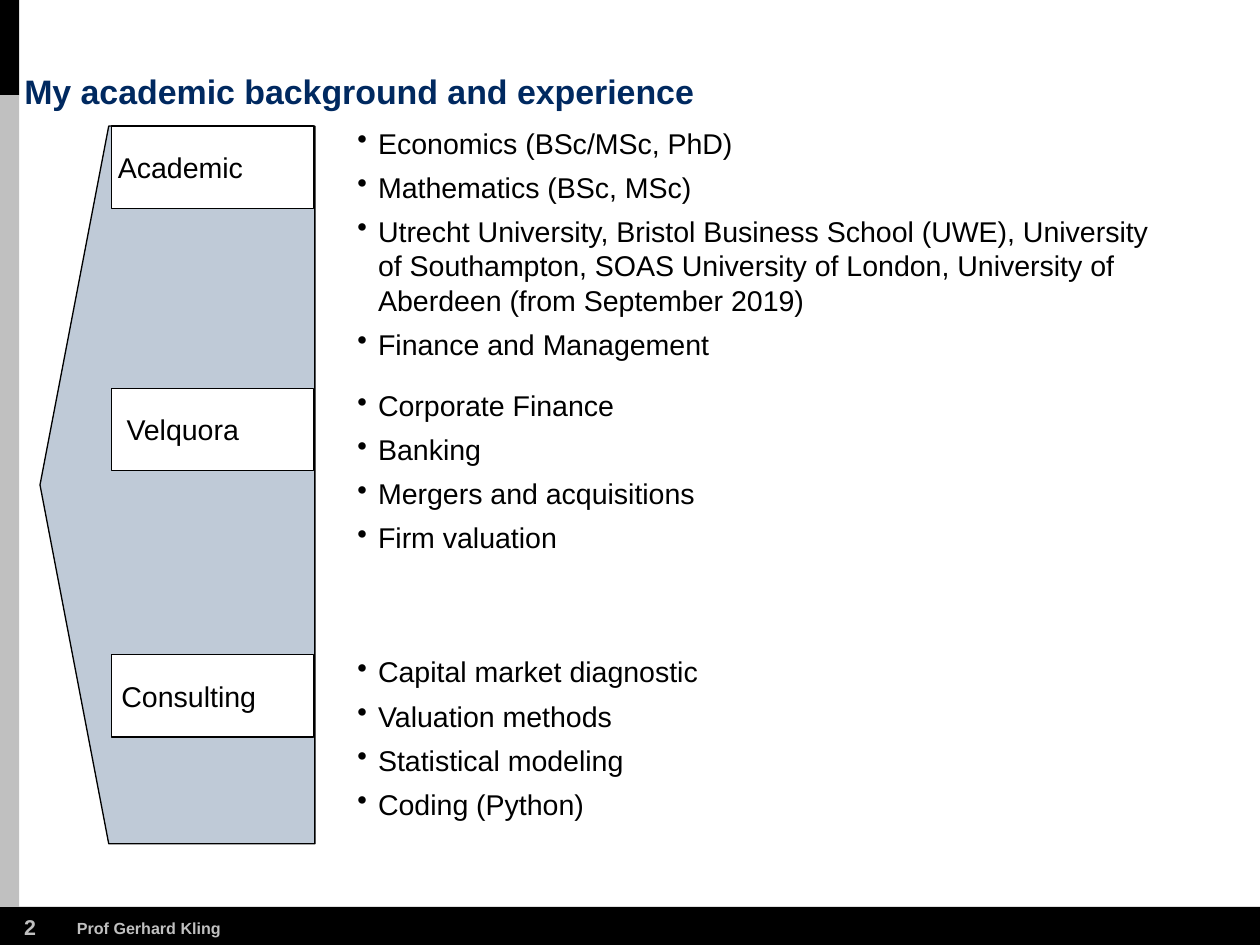
import pptx
import pptx.dml.color
import pptx.enum.shapes
import pptx.enum.text
import pptx.oxml.ns
import pptx.util
from lxml import etree

Cm, Pt = pptx.util.Cm, pptx.util.Pt
SHAPE = pptx.enum.shapes.MSO_SHAPE
ANCHOR = pptx.enum.text.MSO_ANCHOR
ALIGN = pptx.enum.text.PP_ALIGN

# Content
TITLE = "My academic background and experience"
PAGE_NUMBER = "2"
AUTHOR = "Prof Gerhard Kling"
# label, label indent in cm, top in cm, bullets
SECTIONS = [
    ("Academic", 0.13, 2.49, [
        "Economics (BSc/MSc, PhD)",
        "Mathematics (BSc, MSc)",
        "Utrecht University, Bristol Business School (UWE), University of Southampton, "
        "SOAS University of London, University of Aberdeen (from September 2019)",
        "Finance and Management",
    ]),
    ("Velquora", 0.3, 7.67, [
        "Corporate Finance",
        "Banking",
        "Mergers and acquisitions",
        "Firm valuation",
    ]),
    ("Consulting", 0.2, 12.93, [
        "Capital market diagnostic",
        "Valuation methods",
        "Statistical modeling",
        "Coding (Python)",
    ]),
]

# Layout in cm
WIDTH, HEIGHT = 24.89, 18.67
BAR_WIDTH, BAR_SPLIT, FOOTER_TOP = 0.38, 1.88, 17.92
LABEL_LEFT, LABEL_WIDTH, LABEL_HEIGHT = 2.2, 4.0, 1.63
LIST_LEFT, LIST_WIDTH, BULLET_INDENT = 7.06, 16.2, 0.41
LINE_HEIGHT = 0.85

BLACK, WHITE, GREY = "000000", "FFFFFF", "C0C0C0"
NAVY, STEEL = "002960", "BFCAD7"


def color(value):
    return pptx.dml.color.RGBColor.from_string(value)


def add_block(page, kind, left, top, width, height, fill, outlined=False):
    block = page.shapes.add_shape(kind, Cm(left), Cm(top), Cm(width), Cm(height))
    block.shadow.inherit = False
    block.fill.solid()
    block.fill.fore_color.rgb = color(fill)
    if outlined:
        block.line.color.rgb = color(BLACK)
        block.line.width = Pt(0.75)
    else:
        block.line.fill.background()
    return block


def set_frame(box, anchor=ANCHOR.TOP, wrap=True, left=0):
    frame = box.text_frame
    frame.auto_size = pptx.enum.text.MSO_AUTO_SIZE.NONE
    frame.word_wrap = wrap
    frame.vertical_anchor = anchor
    frame.margin_left = Cm(left)
    frame.margin_top = frame.margin_right = frame.margin_bottom = 0
    return frame


def add_span(para, text, size, ink, bold=False):
    para.alignment = ALIGN.LEFT
    span = para.add_run()
    span.text = text
    span.font.name = "Arial"
    span.font.size = Pt(size)
    span.font.bold = bold
    span.font.color.rgb = color(ink)


def add_bullet(para):
    properties = para._p.get_or_add_pPr()
    properties.set("marL", str(Cm(BULLET_INDENT)))
    properties.set("indent", str(-Cm(BULLET_INDENT)))
    bullet = etree.SubElement(properties, pptx.oxml.ns.qn("a:buChar"))
    bullet.set("char", "•")


def add_list(page, top, items):
    box = page.shapes.add_textbox(
        Cm(LIST_LEFT), Cm(top), Cm(LIST_WIDTH), Cm(LINE_HEIGHT * len(items)))
    frame = set_frame(box)
    for index, item in enumerate(items):
        para = frame.add_paragraph() if index else frame.paragraphs[0]
        para.space_after = Pt(5.5)
        add_span(para, item, 16, BLACK)
        add_bullet(para)


def main():
    deck = pptx.Presentation()
    deck.slide_width, deck.slide_height = Cm(WIDTH), Cm(HEIGHT)
    page = deck.slides.add_slide(deck.slide_layouts[5])

    # Page frame
    for left, top, width, height, fill in [
        (0, FOOTER_TOP, WIDTH, HEIGHT - FOOTER_TOP, BLACK),
        (0, 0, BAR_WIDTH, BAR_SPLIT, BLACK),
        (0, BAR_SPLIT, BAR_WIDTH, FOOTER_TOP - BAR_SPLIT, GREY),
    ]:
        add_block(page, SHAPE.RECTANGLE, left, top, width, height, fill)

    # Title
    title = page.shapes.title
    title.left, title.top, title.width, title.height = Cm(0.48), Cm(1.47), Cm(19.7), Cm(0.74)
    para = set_frame(title, ANCHOR.BOTTOM).paragraphs[0]
    para.line_spacing = 0.9
    add_span(para, TITLE, 19, NAVY, bold=True)

    # Left-pointing pentagon behind the labels
    pentagon = add_block(page, SHAPE.PENTAGON, 0.79, 2.49, 5.43, 14.18, STEEL, outlined=True)
    pentagon.adjustments[0] = 0.25
    pentagon.rotation = 180

    # Labels with their lists
    for label, indent, top, items in SECTIONS:
        box = add_block(page, SHAPE.RECTANGLE, LABEL_LEFT, top,
                        LABEL_WIDTH, LABEL_HEIGHT, WHITE, outlined=True)
        frame = set_frame(box, ANCHOR.MIDDLE, left=indent)
        add_span(frame.paragraphs[0], label, 16, BLACK)
        add_list(page, top, items)

    # Footer
    for text, size, left, top, width, height in [
        (PAGE_NUMBER, 12, 0.48, 18.06, 0.24, 0.5),
        (AUTHOR, 9, 1.52, 18.14, 2.88, 0.38),
    ]:
        box = page.shapes.add_textbox(Cm(left), Cm(top), Cm(width), Cm(height))
        add_span(set_frame(box, wrap=False).paragraphs[0], text, size, GREY, bold=True)

    deck.save("out.pptx")


if __name__ == "__main__":
    main()
